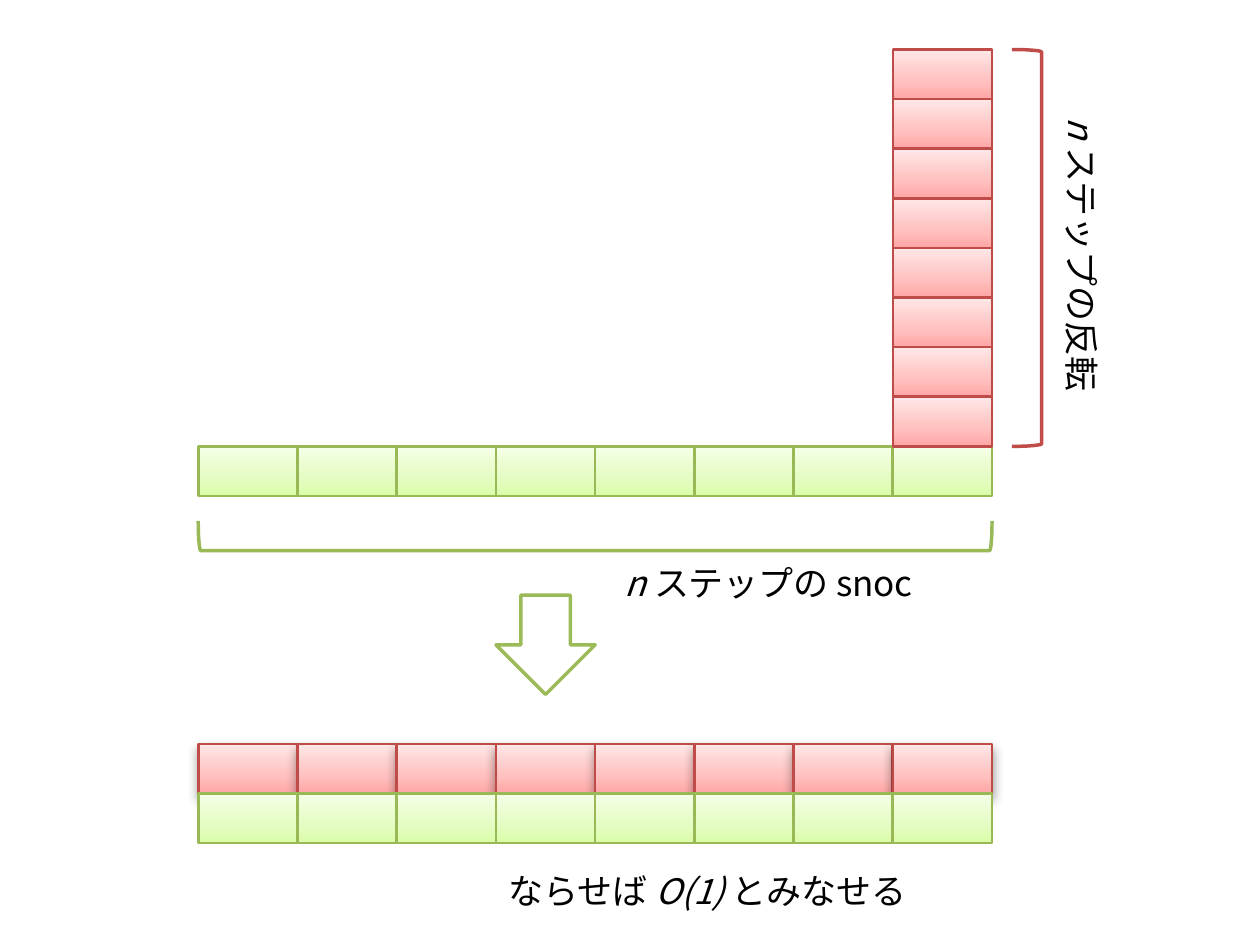
from lxml.etree import SubElement
from pptx import Presentation
from pptx.dml.color import RGBColor
from pptx.enum.shapes import MSO_SHAPE as Shape
from pptx.enum.text import MSO_AUTO_SIZE as AutoSize
from pptx.oxml.ns import qn
from pptx.util import Cm, Pt

FONT = "Noto Sans CJK JP"
CELL_WIDTH, CELL_HEIGHT, COUNT = 1, 0.5, 8
LEFT, STACK_TOP, ROW_TOP, RESULT_TOP = 2, 0.5, 4.5, 7.5
GREEN = ("98B955", ("DAFDA7", "E4FCC2", "F5FFE7"))
RED = ("BF4C48", ("FFA6A5", "FFC0BF", "FFE7E7"))


def color(value):
    """Turn a hex string into a colour."""
    return RGBColor.from_string(value)


def element(parent, tag, **attributes):
    """Append a DrawingML element with the given attributes."""
    child = SubElement(parent, qn(f"a:{tag}"))
    for name, value in attributes.items():
        child.set(name, str(value))
    return child


def add_span(para, text, size=10, italic=False, ink="000000"):
    """Append formatted text to a paragraph."""
    span = para.add_run()
    span.text = text
    span.font.size = Pt(size)
    span.font.italic = italic
    span.font.name = FONT
    span.font.color.rgb = color(ink)
    element(span.font._element, "ea", typeface=FONT)


class Diagram:
    """Hold the style and the page being drawn."""

    def __init__(self, page):
        """Start drawing on a page."""
        self.page = page

    def outline(self, kind, left, top, width, height, line, weight=1,
                fill=None, shapes=None):
        """Add an outlined preset shape."""
        shapes = shapes or self.page.shapes
        shape = shapes.add_shape(kind, Cm(left), Cm(top), Cm(width), Cm(height))
        shape.shadow.inherit = False
        shape.line.color.rgb = color(line)
        shape.line.width = Pt(weight)
        if fill:
            shape.fill.solid()
            shape.fill.fore_color.rgb = color(fill)
        else:
            shape.fill.background()
        return shape

    def shade(self, shape, tints):
        """Fill a shape with a gradient rising from its bottom edge."""
        shape.fill.gradient()
        shape.fill.gradient_angle = 90
        stops = shape._element.spPr.find(qn("a:gradFill")).find(qn("a:gsLst"))
        for stop in list(stops):
            stops.remove(stop)
        for position, tint in zip((0, 35000, 100000), tints):
            element(element(stops, "gs", pos=position), "srgbClr", val=tint)

    def cast_shadow(self, shape):
        """Give a shape a soft shadow below it."""
        effects = shape._element.spPr.find(qn("a:effectLst"))
        shadow = element(effects, "outerShdw", blurRad=Pt(3.1), dist=Pt(1.6),
                         dir=5400000, rotWithShape=0)
        element(element(shadow, "srgbClr", val="000000"), "alpha", val=38000)

    def cells(self, left, top, style, step_x=0, step_y=0, shadow=False):
        """Add a group of equal cells along one direction."""
        line, tints = style
        group = self.page.shapes.add_group_shape()
        for index in range(COUNT):
            cell = self.outline(Shape.RECTANGLE, left + index * step_x,
                                top + index * step_y, CELL_WIDTH, CELL_HEIGHT,
                                line, 0.75, shapes=group.shapes)
            self.shade(cell, tints)
            if shadow:
                self.cast_shadow(cell)

    def label(self, left, top, width, height, spans, vertical=False):
        """Add a one-line label made of (text, italic) pairs."""
        box = self.page.shapes.add_textbox(Cm(left), Cm(top), Cm(width), Cm(height))
        frame = box.text_frame
        frame.word_wrap = False
        frame.auto_size = AutoSize.SHAPE_TO_FIT_TEXT
        if vertical:
            frame._txBody.bodyPr.set("vert", "vert")
        for text, italic in spans:
            add_span(frame.paragraphs[0], text, italic=italic)


def main():
    """Build and save the slide."""
    deck = Presentation()
    deck.slide_width, deck.slide_height = Cm(12.7), Cm(9.525)
    diagram = Diagram(deck.slides.add_slide(deck.slide_layouts[6]))
    row_width, stack_height = COUNT * CELL_WIDTH, COUNT * CELL_HEIGHT
    stack_left = LEFT + row_width - CELL_WIDTH

    diagram.cells(LEFT, ROW_TOP, GREEN, step_x=CELL_WIDTH)
    diagram.cells(stack_left, ROW_TOP - CELL_HEIGHT, RED, step_y=-CELL_HEIGHT)
    diagram.outline(Shape.DOWN_ARROW, 5, 6, 1, 1, "9BBB59", fill="FFFFFF")
    diagram.cells(LEFT, RESULT_TOP, RED, step_x=CELL_WIDTH, shadow=True)
    diagram.cells(LEFT, RESULT_TOP + CELL_HEIGHT, GREEN, step_x=CELL_WIDTH)

    depth = 0.3
    bracket = diagram.outline(Shape.LEFT_BRACKET, LEFT + (row_width - depth) / 2,
                              5.4 - row_width / 2, depth, row_width, GREEN[0])
    bracket.rotation = 270
    diagram.outline(Shape.RIGHT_BRACKET, 10.2, STACK_TOP, depth, stack_height, RED[0])

    diagram.label(10.31, 0.94, 0.94, 3.23,
                  [("n ", True), ("ステップの反転", False)], vertical=True)
    diagram.label(6.05, 5.54, 3.94, 0.69,
                  [("n ", True), ("ステップの snoc", False)])
    diagram.label(4.88, 8.64, 5.13, 0.69,
                  [("ならせば ", False), ("O(1) ", True), ("とみなせる", False)])
    deck.save("out.pptx")


if __name__ == "__main__":
    main()
